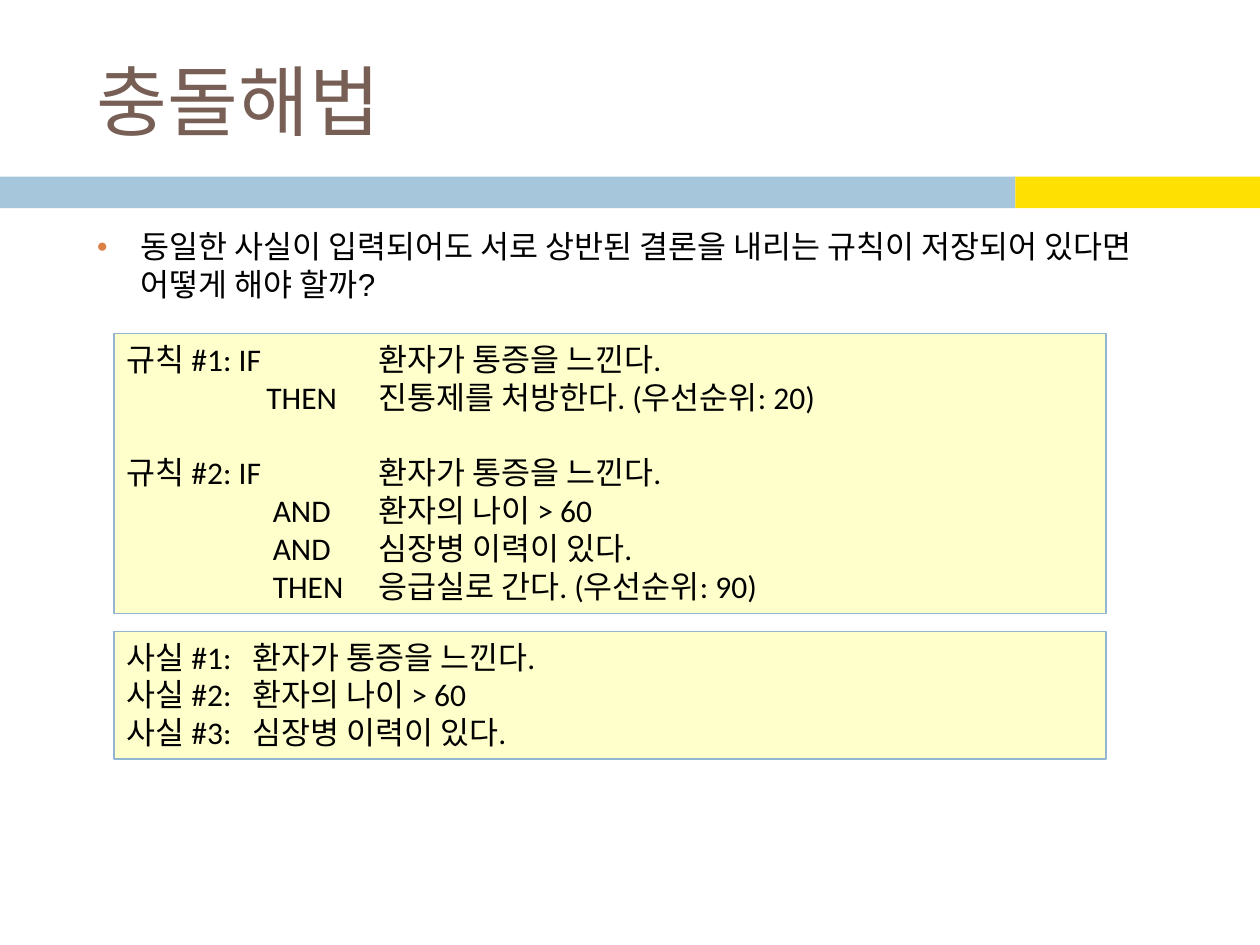
from lxml import etree
from pptx import Presentation
from pptx.dml.color import RGBColor
from pptx.enum import shapes, text
from pptx.oxml.ns import qn
from pptx.util import Cm, Pt

BLUE = RGBColor(0xA5, 0xC6, 0xDB)
YELLOW = RGBColor(0xFE, 0xE0, 0x02)
BROWN = RGBColor(0x77, 0x5F, 0x55)
CREAM = RGBColor(0xFF, 0xFF, 0xCC)
EDGE = RGBColor(0x94, 0xB6, 0xD2)
BLACK = RGBColor(0, 0, 0)
BULLET = "DD8047"

IF_TABS = (5.08,)
FIRST_TABS = (2.82, 5.08)
SECOND_TABS = (2.95, 5.08)
FACT_TABS = (2.54,)
BLANK_LINE = 21.5

RULES = [
    ("규칙 #1: IF\t환자가 통증을 느낀다.", IF_TABS, 0),
    ("\tTHEN\t진통제를 처방한다. (우선순위: 20)", FIRST_TABS, 0),
    ("규칙 #2: IF\t환자가 통증을 느낀다.", IF_TABS, BLANK_LINE),
    ("\tAND\t환자의 나이 > 60", SECOND_TABS, 0),
    ("\tAND\t심장병 이력이 있다.", SECOND_TABS, 0),
    ("\tTHEN\t응급실로 간다. (우선순위: 90)", SECOND_TABS, 0),
]
FACTS = [
    ("사실 #1:\t환자가 통증을 느낀다.", FACT_TABS, 0),
    ("사실 #2:\t환자의 나이 > 60", FACT_TABS, 0),
    ("사실 #3:\t심장병 이력이 있다.", FACT_TABS, 0),
]


def add_run(p, words, size, font, color):
    """Add one formatted run to a paragraph."""
    r = p.add_run()
    r.text = words
    r.font.size = Pt(size)
    r.font.name = font
    r.font.color.rgb = color


def add_rect(s, x, y, w, h, fill):
    """Add a flat, borderless rectangle."""
    sp = s.shapes.add_shape(shapes.MSO_SHAPE.RECTANGLE, Cm(x), Cm(y), Cm(w), Cm(h))
    sp.shadow.inherit = False
    sp.fill.solid()
    sp.fill.fore_color.rgb = fill
    sp.line.fill.background()
    return sp


def add_textbox(s, x, y, w, h):
    """Add a wrapping text box and return its text frame."""
    tf = s.shapes.add_textbox(Cm(x), Cm(y), Cm(w), Cm(h)).text_frame
    tf.word_wrap = True
    return tf


def set_tabs(p, stops):
    """Give a paragraph left-aligned tab stops, in centimetres."""
    tabs = etree.SubElement(p._p.get_or_add_pPr(), qn("a:tabLst"))
    for stop in stops:
        etree.SubElement(tabs, qn("a:tab"), pos=str(Cm(stop)), algn="l")


def set_bullet(p, indent):
    """Give a paragraph a small coloured bullet with a hanging indent."""
    pPr = p._p.get_or_add_pPr()
    pPr.set("marL", str(Cm(indent)))
    pPr.set("indent", str(-Cm(indent)))
    color = etree.SubElement(pPr, qn("a:buClr"))
    etree.SubElement(color, qn("a:srgbClr"), val=BULLET)
    etree.SubElement(pPr, qn("a:buSzPct"), val="60000")
    etree.SubElement(pPr, qn("a:buFont"), typeface="Arial")
    etree.SubElement(pPr, qn("a:buChar"), char="●")


def add_band(s, x, y, w, h):
    """Draw the two-colour band below the title."""
    accent = 4.93
    add_rect(s, x, y, w - accent, h, BLUE)
    add_rect(s, x + w - accent, y, accent, h, YELLOW)


def add_title(s, x, y, w, h):
    """Place the slide title."""
    tf = add_textbox(s, x, y, w, h)
    tf.vertical_anchor = text.MSO_ANCHOR.MIDDLE
    add_run(tf.paragraphs[0], "충돌해법", 44, "Calibri", BROWN)


def add_question(s, x, y, w, h):
    """Place the bulleted question."""
    p = add_textbox(s, x, y, w, h).paragraphs[0]
    set_bullet(p, 0.89)
    words = "동일한 사실이 입력되어도 서로 상반된 결론을 내리는 규칙이 저장되어 있다면 어떻게 해야 할까?"
    add_run(p, words, 18, "Arial", BLACK)


def add_panel(s, x, y, w, h, lines):
    """Draw a cream panel holding tabbed lines of rules or facts."""
    sp = add_rect(s, x, y, w, h, CREAM)
    sp.line.color.rgb = EDGE
    sp.line.width = Pt(0.75)
    tf = sp.text_frame
    tf.word_wrap = True
    tf.vertical_anchor = text.MSO_ANCHOR.TOP
    for i, (words, stops, before) in enumerate(lines):
        p = tf.add_paragraph() if i else tf.paragraphs[0]
        set_tabs(p, stops)
        p.alignment = text.PP_ALIGN.LEFT
        if before:
            p.space_before = Pt(before)
        add_run(p, words, 18, "Calibri", BLACK)


def main():
    """Build and save the slide."""
    prs = Presentation()
    prs.slide_width, prs.slide_height = Cm(25.4), Cm(19.05)
    s = prs.slides.add_slide(prs.slide_layouts[6])
    add_band(s, 0, 3.56, 25.4, 0.64)
    add_title(s, 1.7, 0.64, 22.66, 2.74)
    add_question(s, 1.7, 4.45, 22.66, 12.5)
    add_panel(s, 2.3, 6.73, 20, 5.64, RULES)
    add_panel(s, 2.3, 12.73, 20, 2.57, FACTS)
    prs.save("out.pptx")


if __name__ == "__main__":
    main()
